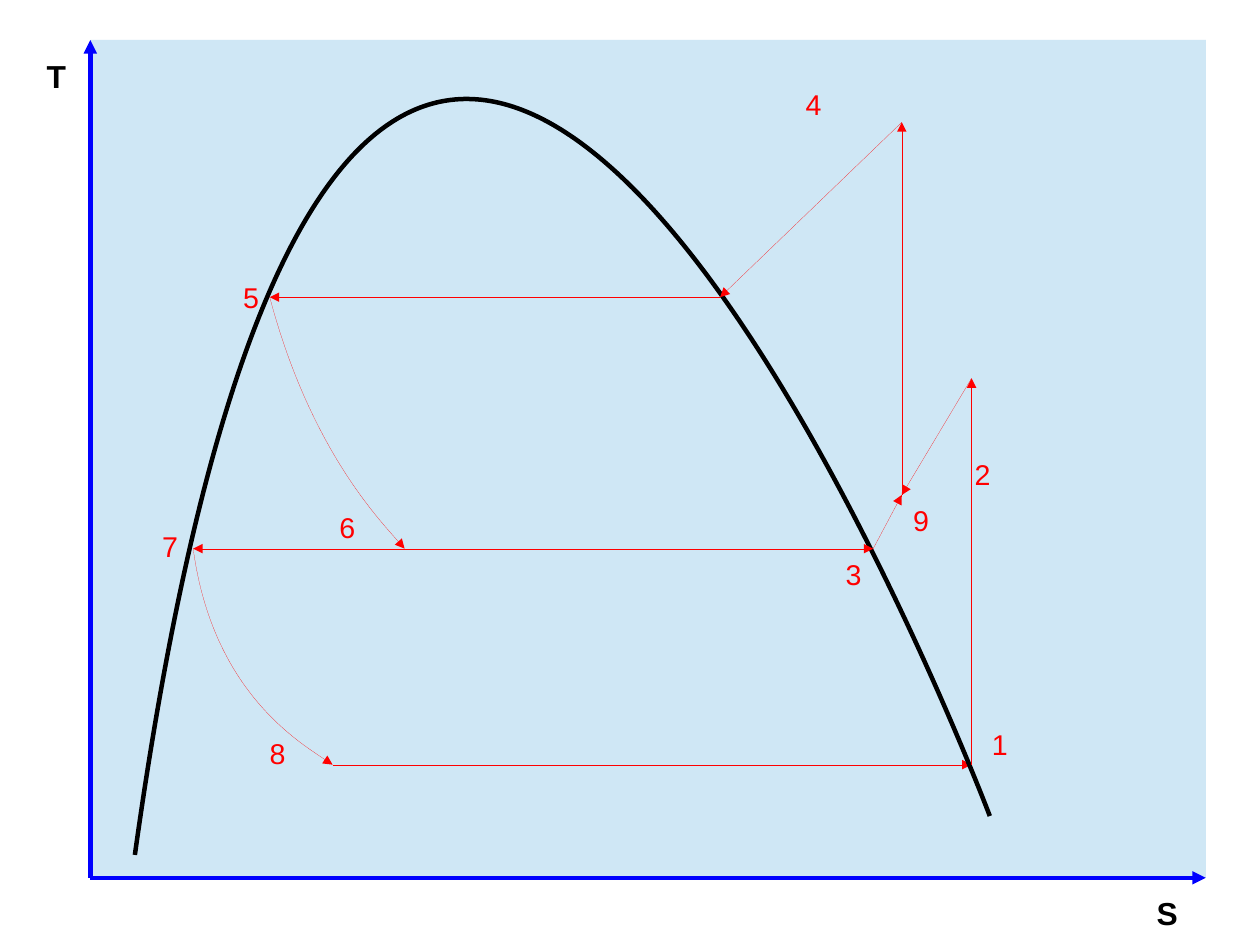
from lxml.etree import SubElement
from pptx import Presentation
from pptx.dml.color import RGBColor
from pptx.enum.shapes import MSO_CONNECTOR, MSO_SHAPE
from pptx.enum.text import MSO_AUTO_SIZE
from pptx.oxml.ns import qn
from pptx.util import Inches, Pt

BLUE, RED, BLACK, PALE_BLUE = "0000FF", "FF0000", "000000", "CFE7F5"
HAIRLINE, THICK = 0, 2.83
CURVE_STEPS = 60
CM_PER_INCH = 2.54

# Points of the cycle, in inches from the top left of the plot
STATES = {
    "1": (7.71, 6.34), "2": (7.71, 2.96), "3": (6.85, 4.45),
    "4": (7.1, 0.72), "dew": (5.51, 2.25), "5": (1.57, 2.25),
    "6": (2.75, 4.45), "7": (0.9, 4.45), "8": (2.12, 6.34),
    "9": (7.1, 3.98),
}
EVAPORATION = [("8", "1"), ("3", "7")]
PROCESSES = [("1", "2"), ("9", "4"), ("4", "dew"), ("dew", "5"),
             ("6", "3"), ("3", "9"), ("2", "9")]
# Throttling steps with the control point of each curve
THROTTLING = [("7", (1.07, 5.71), "8"), ("5", (1.92, 3.57), "6")]
DOME = [(0.39, 7.13), (2.44, -7.55), (7.87, 6.79), (7.87, 6.79)]

STATE_LABELS = {
    "1": (7.79, 5.96), "2": (7.64, 3.6), "3": (6.51, 4.47),
    "4": (6.16, 0.36), "5": (1.24, 2.05), "6": (2.08, 4.06),
    "7": (0.53, 4.23), "8": (1.47, 6.04), "9": (7.1, 4.0),
}
AXIS_LABELS = {"T": (-0.48, 0.1), "S": (9.23, 7.42)}


def color(value):
    return RGBColor.from_string(value)


def style_line(shape, line_color, width, arrow):
    shape.line.color.rgb = color(line_color)
    properties = shape.line._get_or_add_ln()
    # A zero width has to be written out to override the theme
    properties.set("w", str(int(Pt(width))))
    if arrow:
        SubElement(properties, qn("a:tailEnd"), type="triangle")


def place(box, point):
    return Inches(box[0] + point[0]), Inches(box[1] + point[1])


def add_line(slide, box, start, end, line_color=RED, width=HAIRLINE):
    connector = slide.shapes.add_connector(
        MSO_CONNECTOR.STRAIGHT, *place(box, start), *place(box, end))
    style_line(connector, line_color, width, True)
    SubElement(connector._element.spPr, qn("a:effectLst"))


def bezier_point(controls, t):
    weights = ((1 - t) ** 3, 3 * t * (1 - t) ** 2, 3 * t ** 2 * (1 - t), t ** 3)
    return tuple(sum(weight * control[axis]
                     for weight, control in zip(weights, controls))
                 for axis in (0, 1))


def add_curve(slide, box, controls, line_color=RED, width=HAIRLINE, arrow=True):
    # Sampled points give the extent of the curve
    points = [place(box, bezier_point(controls, step / CURVE_STEPS))
              for step in range(CURVE_STEPS + 1)]
    builder = slide.shapes.build_freeform(*points[0])
    builder.add_line_segments(points[1:], close=False)
    curve = builder.convert_to_shape()

    # One smooth cubic segment replaces the straight ones
    outline = next(curve._element.iter(qn("a:path")))
    for segment in list(outline)[1:]:
        outline.remove(segment)
    cubic = SubElement(outline, qn("a:cubicBezTo"))
    for control in controls[1:]:
        x, y = place(box, control)
        SubElement(cubic, qn("a:pt"), x=str(x - curve.left), y=str(y - curve.top))

    curve.fill.background()
    curve.shadow.inherit = False
    style_line(curve, line_color, width, arrow)


def add_label(slide, box, point, text, size, font_color, bold=False):
    width, height = (0.37, 0.41) if bold else (0.34, 0.38)
    label = slide.shapes.add_textbox(
        *place(box, point), Inches(width), Inches(height))
    frame = label.text_frame
    frame.word_wrap = False
    frame.auto_size = MSO_AUTO_SIZE.SHAPE_TO_FIT_TEXT
    run = frame.paragraphs[0].add_run()
    run.text = text
    run.font.name = "Arial"
    run.font.size = Pt(size)
    run.font.bold = bold
    run.font.color.rgb = color(font_color)


def add_axes(slide, box):
    left, top, width, height = box
    background = slide.shapes.add_shape(
        MSO_SHAPE.RECTANGLE, *map(Inches, (left, top, width, height)))
    background.shadow.inherit = False
    background.fill.solid()
    background.fill.fore_color.rgb = color(PALE_BLUE)
    background.line.fill.background()
    origin = (0, height)
    for end in ((0, 0), (width, height)):
        add_line(slide, box, origin, end, BLUE, THICK)
    for text, point in AXIS_LABELS.items():
        add_label(slide, box, point, text, 20, BLACK, bold=True)


def add_cycle(slide, box):
    # Evaporation lines lie behind the saturation dome
    for start, end in EVAPORATION:
        add_line(slide, box, STATES[start], STATES[end])
    add_curve(slide, box, DOME, BLACK, THICK, arrow=False)

    # Remaining processes
    for start, control, end in THROTTLING:
        finish = STATES[end]
        add_curve(slide, box, [STATES[start], control, finish, finish])
    for start, end in PROCESSES:
        add_line(slide, box, STATES[start], STATES[end])

    # State numbers
    for text, point in STATE_LABELS.items():
        add_label(slide, box, point, text, 18, RED)


def main():
    presentation = Presentation()
    presentation.slide_width = Inches(28 / CM_PER_INCH)
    presentation.slide_height = Inches(21 / CM_PER_INCH)
    slide = presentation.slides.add_slide(presentation.slide_layouts[6])
    plot = (0.79, 0.35, 9.76, 7.33)
    add_axes(slide, plot)
    add_cycle(slide, plot)
    presentation.save("out.pptx")


if __name__ == "__main__":
    main()
